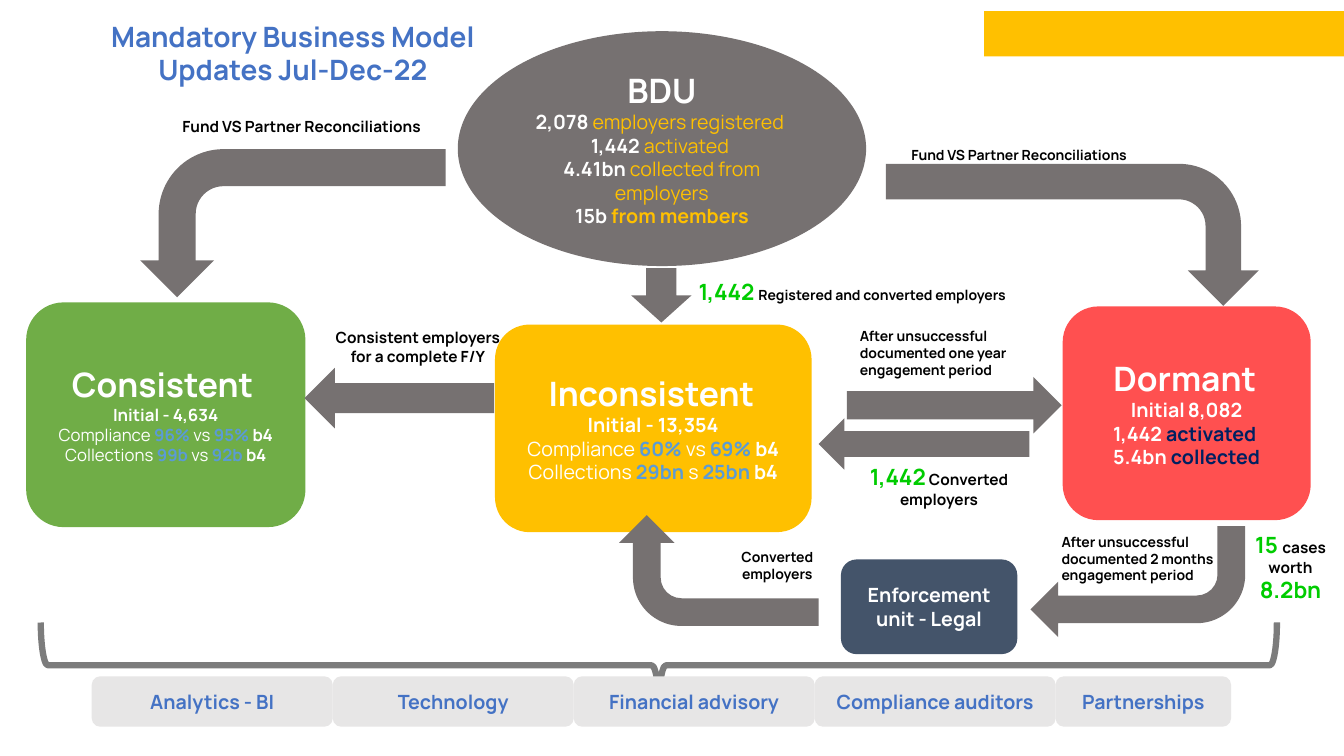
from pptx import Presentation
from pptx import util as u
from pptx.dml.color import RGBColor
from pptx.enum import shapes, text

PX = 9144
FONT = "Manrope"
WHITE, BLACK, GREY, PALE = "FFFFFF", "000000", "767171", "E7E6E6"
GOLD, BLUE, SKY, NAVY, LIME = "FFC000", "4472C4", "5B9BD5", "002060", "00CC00"
RECONCILIATIONS = "Fund VS Partner Reconciliations"
KIND = shapes.MSO_SHAPE
CENTER, LEFT = text.PP_ALIGN.CENTER, text.PP_ALIGN.LEFT


def px(*lengths):
    return [u.Emu(length * PX) for length in lengths]


def color(value):
    return RGBColor.from_string(value)


def write(frame, paragraphs, align=CENTER):
    frame.word_wrap = True
    for index, spans in enumerate(paragraphs):
        para = frame.add_paragraph() if index else frame.paragraphs[0]
        para.alignment = align
        for words, size, ink, bold in spans:
            span = para.add_run()
            span.text = words
            span.font.name = FONT
            span.font.size = u.Pt(size)
            span.font.bold = bold
            span.font.color.rgb = color(ink)


def add_title(page, place, words):
    title = page.shapes.title
    title.left, title.top, title.width, title.height = px(*place)
    frame = title.text_frame
    frame.auto_size = text.MSO_AUTO_SIZE.NONE
    frame.vertical_anchor = text.MSO_ANCHOR.TOP
    write(frame, [[(words, 20, BLUE, True)]])


def add_box(page, kind, place, fill, paragraphs=()):
    box = page.shapes.add_shape(kind, *px(*place))
    box.shadow.inherit = False
    box.fill.solid()
    box.fill.fore_color.rgb = color(fill)
    box.line.fill.background()
    box.text_frame.vertical_anchor = text.MSO_ANCHOR.MIDDLE
    write(box.text_frame, paragraphs)
    return box


def add_bent_arrow(page, place, rotation, flip=False, bend=0.4375):
    arrow = add_box(page, KIND.BENT_ARROW, place, GREY)
    arrow.rotation = rotation
    arrow.adjustments[3] = bend
    if flip:
        arrow._element.spPr.xfrm.set("flipV", "1")


def add_label(page, place, spans, align=CENTER):
    label = page.shapes.add_textbox(*px(*place))
    write(label.text_frame, [spans], align)
    label.text_frame.auto_size = text.MSO_AUTO_SIZE.SHAPE_TO_FIT_TEXT


def add_brace(page, place):
    brace = page.shapes.add_shape(KIND.LEFT_BRACE, *px(*place))
    brace.shadow.inherit = False
    brace.rotation = 270
    brace.fill.background()
    brace.line.color.rgb = color("7C7C7C")
    brace.line.width = u.Pt(4.5)


def comparison(size, compliance, collections):
    spans = []
    for name, (now, between, before), end in (
        ("Compliance ", compliance, "b4 "),
        ("Collections ", collections, "b4"),
    ):
        spans += [
            (name, size, WHITE, False),
            (now, size, SKY, True),
            (between, size, WHITE, False),
            (before, size, SKY, True),
            (end, size, WHITE, True),
        ]
    return spans


def add_groups(page):
    add_box(page, KIND.ROUNDED_RECTANGLE, (26, 300, 277, 223), "70AD47", [
        [("Consistent", 24, WHITE, True), ("  ", 12, WHITE, True)],
        [("Initial - 4,634", 12, WHITE, True)],
        comparison(12, ("96%", " vs ", "95% "), ("99b", " vs ", "92b ")),
    ])
    add_box(page, KIND.ROUNDED_RECTANGLE, (491, 322, 314, 206), GOLD, [
        [("Inconsistent", 24, WHITE, True), (" ", 14, WHITE, True)],
        [("Initial - 13,354", 14, WHITE, True)],
        comparison(14, ("60% ", "vs ", "69% "), ("29bn", " s ", "25bn ")),
    ])
    add_box(page, KIND.ROUNDED_RECTANGLE, (1054, 304, 246, 212), "FF5050", [
        [("Dormant", 24, WHITE, True), (" ", 14, WHITE, True)],
        [("Initial", 14, WHITE, True), (" ", 10, WHITE, True), ("8,082", 14, WHITE, True)],
        [("1,442", 14, WHITE, True), (" activated ", 14, NAVY, True)],
        [("5.4bn", 14, WHITE, True), (" collected", 14, NAVY, True)],
    ])
    add_box(page, KIND.FLOWCHART_CONNECTOR, (454, 31, 405, 233), GREY, [
        [("BDU", 24, WHITE, True)],
        [("2,078", 14, WHITE, True), (" employers registered ", 14, GOLD, False)],
        [("1,442 ", 14, WHITE, True), ("activated ", 14, GOLD, False)],
        [("4.41bn", 14, WHITE, True), (" collected from employers", 14, GOLD, False)],
        [("15b", 14, WHITE, True), (" from members", 14, GOLD, True)],
    ])
    add_box(page, KIND.ROUNDED_RECTANGLE, (834, 555, 175, 94), "44546A",
            [[("Enforcement unit - Legal", 14, WHITE, True)]])


def add_arrows(page):
    add_bent_arrow(page, (993, 48, 141, 370), 90)
    add_bent_arrow(page, (1022, 522, 213, 110), 180, bend=0.438)
    add_bent_arrow(page, (658, 467, 110, 198), 270)
    add_bent_arrow(page, (217, 70, 147, 303), 90, flip=True)
    for kind, place in (
        (KIND.RIGHT_ARROW, (840, 374, 213, 56)),
        (KIND.LEFT_ARROW, (812, 415, 209, 51)),
        (KIND.LEFT_ARROW, (302, 365, 188, 60)),
        (KIND.DOWN_ARROW, (626, 266, 60, 54)),
    ):
        add_box(page, kind, place, GREY)


def add_labels(page):
    for place, words, size, align in (
        ((1043, 524, 205, 61), "After unsuccessful documented 2 months engagement period", 10, LEFT),
        ((716, 539, 110, 44), "Converted employers", 10, CENTER),
        ((843, 320, 195, 61), "After unsuccessful documented one year engagement period", 10, LEFT),
        ((894, 140, 320, 27), RECONCILIATIONS, 10, LEFT),
        ((312, 321, 205, 47), "Consistent employers for a complete F/Y", 11, CENTER),
        ((171, 111, 320, 29), RECONCILIATIONS, 11, LEFT),
    ):
        add_label(page, place, [(words, size, BLACK, True)], align)
    add_label(page, (683, 271, 331, 54), [
        ("1,442", 16, LIME, True),
        (" ", 14, BLACK, True),
        ("Registered and converted employers", 10, BLACK, True),
    ], LEFT)
    add_label(page, (825, 455, 213, 56), [
        ("1,442", 16, LIME, True),
        (" Converted employers", 11, BLACK, True),
    ])
    add_label(page, (1220, 522, 120, 82), [
        ("15 ", 16, LIME, True),
        ("cases worth ", 11, BLACK, True),
        ("8.2bn", 16, LIME, True),
    ])


def add_support_bar(page):
    add_brace(page, (611, 47, 85, 1226))
    names = ("Analytics - BI", "Technology", "Financial advisory",
             "Compliance auditors", "Partnerships")
    for index, name in enumerate(names):
        width = 174 if name == "Partnerships" else 239
        add_box(page, KIND.ROUNDED_RECTANGLE, (91 + 239 * index, 671, width, 50),
                PALE, [[(name, 14, BLUE, True)]])


def main():
    deck = Presentation()
    deck.slide_width, deck.slide_height = px(1333, 750)
    page = deck.slides.add_slide(deck.slide_layouts[5])
    add_title(page, (67, 14, 447, 77), "Mandatory Business Model Updates Jul-Dec-22")
    add_groups(page)
    add_arrows(page)
    add_labels(page)
    add_support_bar(page)
    add_box(page, KIND.RECTANGLE, (976, 11, 357, 45), GOLD)
    deck.save("out.pptx")


if __name__ == "__main__":
    main()
